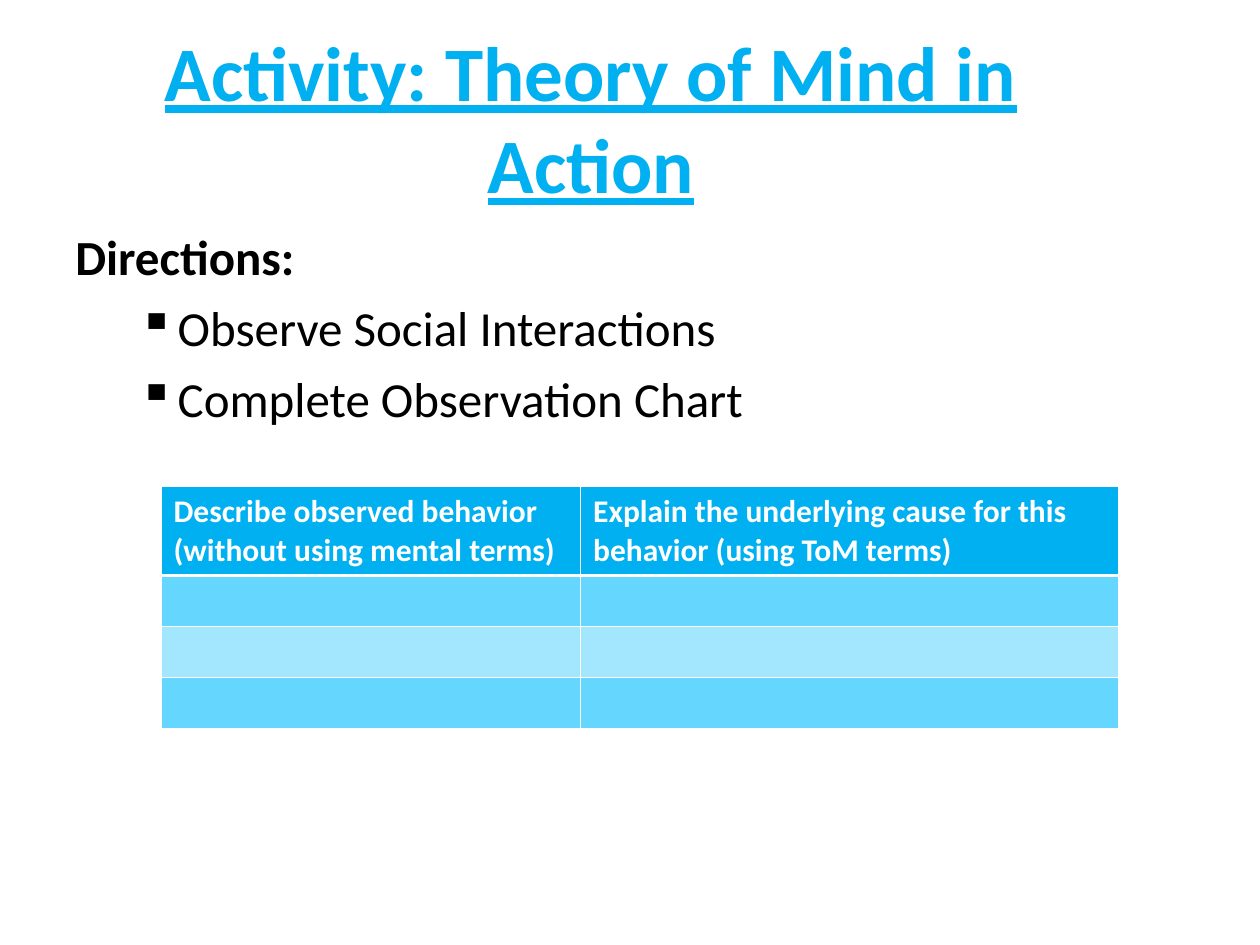
from lxml.etree import SubElement
from pptx import Presentation
from pptx.dml.color import RGBColor
from pptx.enum.text import MSO_ANCHOR, PP_ALIGN
from pptx.oxml import parse_xml
from pptx.oxml.ns import nsdecls, qn
from pptx.util import Pt

BLUE = RGBColor(0x00, 0xB0, 0xF0)
MID_BLUE = RGBColor(0x65, 0xD7, 0xFF)
PALE_BLUE = RGBColor(0xA3, 0xE7, 0xFF)
WHITE = RGBColor(0xFF, 0xFF, 0xFF)
BLACK = RGBColor(0x00, 0x00, 0x00)


def write(paragraph, text, size, color, bold=False, underline=False):
    span = paragraph.add_run()
    span.text = text
    span.font.name = "Calibri"
    span.font.size = Pt(size)
    span.font.color.rgb = color
    span.font.bold = bold
    span.font.underline = underline


def set_borders(cell, **widths):
    """Draw white cell borders; widths maps side letters L, R, T, B to points."""
    properties = cell._tc.get_or_add_tcPr()
    for position, (side, width) in enumerate(widths.items()):
        properties.insert(position, parse_xml(
            f'<a:ln{side} {nsdecls("a")} w="{Pt(width)}"><a:solidFill>'
            f'<a:srgbClr val="{WHITE}"/></a:solidFill></a:ln{side}>'))


deck = Presentation()
deck.slide_width, deck.slide_height = Pt(720), Pt(540)
page = deck.slides.add_slide(deck.slide_layouts[6])

# Title
title = page.shapes.add_textbox(Pt(36), Pt(21.6), Pt(603.4), Pt(90)).text_frame
title.word_wrap = True
title.vertical_anchor = MSO_ANCHOR.MIDDLE
title.paragraphs[0].alignment = PP_ALIGN.CENTER
write(title.paragraphs[0], "Activity: Theory of Mind in Action", 44, BLUE,
      bold=True, underline=True)

# Directions
directions = page.shapes.add_textbox(Pt(36), Pt(126), Pt(648), Pt(356.4)).text_frame
directions.word_wrap = True
heading = directions.paragraphs[0]
heading.space_before = Pt(7)
write(heading, "Directions:", 28, BLACK, bold=True)
for step in ("Observe Social Interactions", "Complete Observation Chart"):
    para = directions.add_paragraph()
    para.level = 1
    para.space_before = Pt(7)
    properties = para._p.get_or_add_pPr()
    properties.set("marL", str(Pt(58.5)))
    properties.set("indent", str(Pt(-22.5)))
    SubElement(properties, qn("a:buChar"), char="▪")
    write(para, step, 28, BLACK)

# Observation chart
headers = ("Describe observed behavior (without using mental terms)",
           "Explain the underlying cause for this behavior (using ToM terms)")
row_heights = (50.8, 29.2, 29.2, 29.2)
row_fills = (BLUE, MID_BLUE, PALE_BLUE, MID_BLUE)
chart = page.shapes.add_table(4, 2, Pt(92), Pt(278), Pt(547.2), Pt(138.4)).table
for column, width in zip(chart.columns, (239.8, 307.4)):
    column.width = Pt(width)
for index, (height, fill) in enumerate(zip(row_heights, row_fills)):
    chart.rows[index].height = Pt(height)
    for cell in chart.rows[index].cells:
        cell.fill.solid()
        cell.fill.fore_color.rgb = fill
        set_borders(cell, L=0.45, R=0.45, T=1.47 if index == 1 else 0.45,
                    B=1.47 if index == 0 else 0.45)
for cell, header in zip(chart.rows[0].cells, headers):
    write(cell.text_frame.paragraphs[0], header, 18, WHITE, bold=True)

deck.save("out.pptx")
